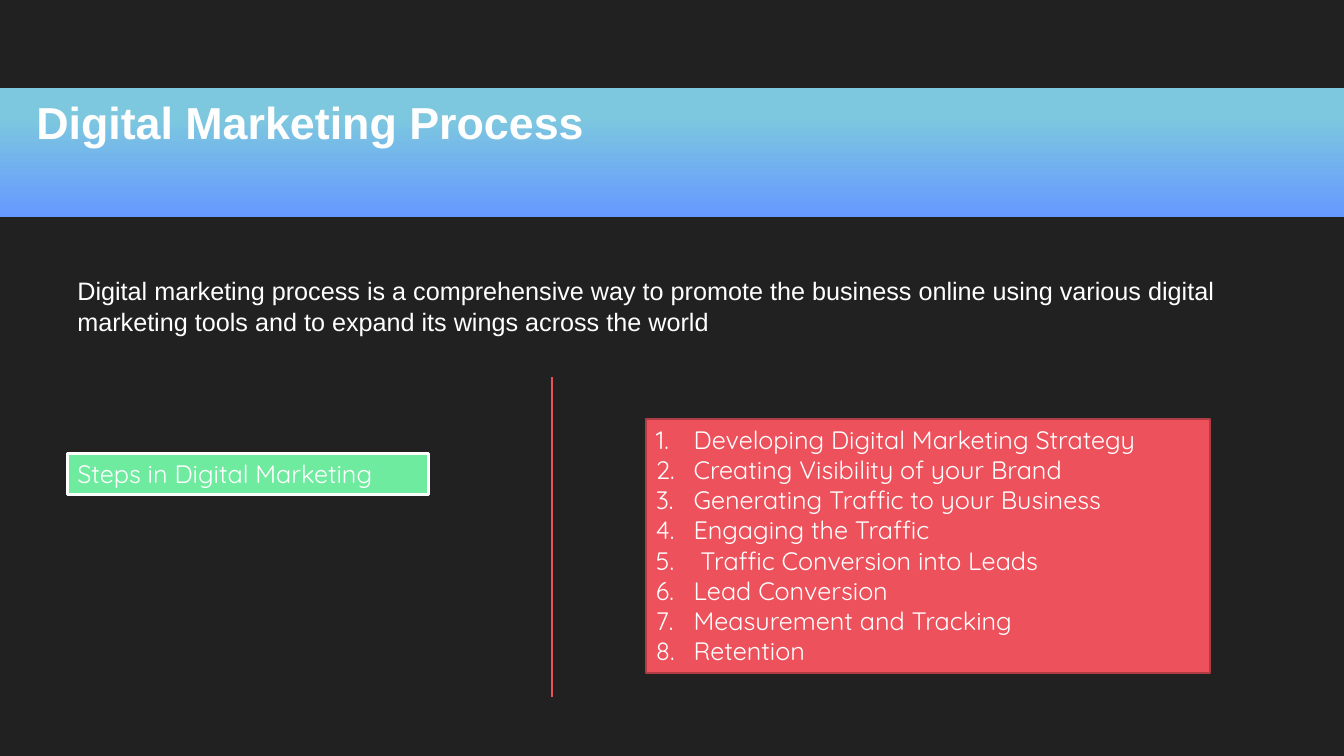
import pptx
import pptx.util
import pptx.dml.color
import pptx.enum.shapes
import pptx.enum.text
import pptx.oxml
import pptx.oxml.ns

Cm, Pt = pptx.util.Cm, pptx.util.Pt
RECT = pptx.enum.shapes.MSO_SHAPE.RECTANGLE
ANCHOR = pptx.enum.text.MSO_ANCHOR
ALIGN = pptx.enum.text.PP_ALIGN
NS = pptx.oxml.ns.nsdecls("a")
SHADOW = (f'<a:effectLst {NS}><a:outerShdw blurRad="38100" dist="38100" dir="2700000" algn="tl">'
          '<a:srgbClr val="000000"><a:alpha val="43000"/></a:srgbClr></a:outerShdw></a:effectLst>')
STEPS = [
    "Developing Digital Marketing Strategy",
    "Creating Visibility of your Brand",
    "Generating Traffic to your Business",
    "Engaging the Traffic",
    " Traffic Conversion into Leads",
    "Lead Conversion",
    "Measurement and Tracking",
    "Retention",
]


def rgb(value):
    return pptx.dml.color.RGBColor.from_string(value)


def add_run(p, text, font, size, color="FFFFFF", bold=False, shadow=False):
    """Append a left-aligned run, with an optional text shadow."""
    p.alignment = ALIGN.LEFT
    r = p.add_run()
    r.text = text
    r.font.name, r.font.size, r.font.bold = font, Pt(size), bold
    r.font.color.rgb = rgb(color)
    if shadow:
        fill = r.font._element.find(pptx.oxml.ns.qn("a:solidFill"))
        fill.addnext(pptx.oxml.parse_xml(SHADOW))


prs = pptx.Presentation()
prs.slide_width, prs.slide_height = Cm(33.87), Cm(19.05)
s = prs.slides.add_slide(prs.slide_layouts[5])
s.background.fill.solid()
s.background.fill.fore_color.rgb = rgb("212121")

# Title on a gradient band
title = s.shapes.title
title.left, title.top, title.width, title.height = Cm(0.66), Cm(2.31), Cm(17.6), Cm(1.57)
tf = title.text_frame
tf.word_wrap = True
tf.auto_size = pptx.enum.text.MSO_AUTO_SIZE.NONE
tf.vertical_anchor = ANCHOR.BOTTOM
add_run(tf.paragraphs[0], "Digital Marketing Process", "Arial", 32, "FEFEFE", bold=True, shadow=True)

band = s.shapes.add_shape(RECT, 0, Cm(2.22), prs.slide_width, Cm(3.25))
band.shadow.inherit = False
band.line.fill.background()
band.fill.gradient()
band.fill.gradient_angle = 270
for stop, (position, color) in zip(band.fill.gradient_stops, [(0.21, "7DC8DF"), (1, "6699FF")]):
    stop.position = position
    stop.color.rgb = rgb(color)
title.element.addprevious(band.element)

# Introduction
intro = s.shapes.add_textbox(Cm(1.7), Cm(6.48), Cm(30.48), Cm(2.46))
tf = intro.text_frame
tf.word_wrap = True
tf.vertical_anchor = ANCHOR.MIDDLE
p = tf.paragraphs[0]
p.space_before, p.space_after = Pt(3.6), Pt(6)
add_run(p, "Digital marketing process is a comprehensive way to promote the business online "
        "using various digital marketing tools and to expand its wings across the world",
        "Arial", 18, shadow=True)

# Divider
divider = s.shapes.add_connector(pptx.enum.shapes.MSO_CONNECTOR.STRAIGHT,
                                 Cm(13.91), Cm(9.51), Cm(13.91), Cm(17.56))
divider.line.color.rgb = rgb("ED515C")
divider.line.width = Pt(2)
divider.element.spPr.append(pptx.oxml.parse_xml(f"<a:effectLst {NS}/>"))

# Label and numbered steps
boxes = [
    ((1.7, 11.43, 9.1, 1.03), "6FEBA0", "FFFFFF", 2, ["Steps in Digital Marketing"], False),
    ((16.28, 10.56, 14.22, 6.4), "ED515C", "AF3C44", 1.25, STEPS, True),
]
for place, fill, line, width, lines, numbered in boxes:
    sp = s.shapes.add_shape(RECT, *map(Cm, place))
    sp.shadow.inherit = False
    sp.fill.solid()
    sp.fill.fore_color.rgb = rgb(fill)
    sp.line.color.rgb = rgb(line)
    sp.line.width = Pt(width)
    tf = sp.text_frame
    tf.word_wrap = True
    tf.vertical_anchor = ANCHOR.TOP
    for i, text in enumerate(lines):
        p = tf.add_paragraph() if i else tf.paragraphs[0]
        add_run(p, text, "Quicksand", 18)
        if numbered:
            pPr = p._p.get_or_add_pPr()
            pPr.set("marL", str(Cm(0.95)))
            pPr.set("indent", str(-Cm(0.95)))
            pPr.append(pptx.oxml.parse_xml(f'<a:buFont {NS} typeface="+mj-lt"/>'))
            pPr.append(pptx.oxml.parse_xml(f'<a:buAutoNum {NS} type="arabicPeriod"/>'))

prs.save("out.pptx")
